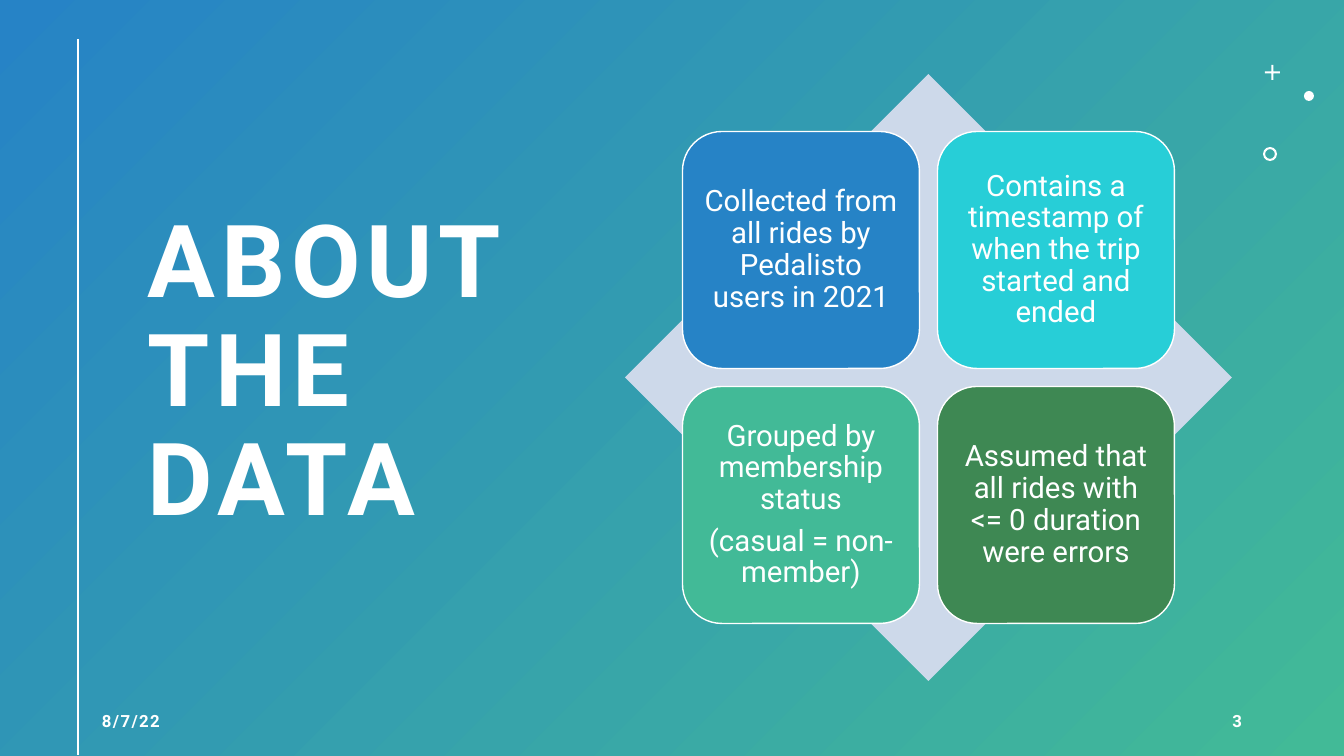
from dataclasses import dataclass

from lxml.etree import SubElement
from pptx import Presentation
from pptx.dml.color import RGBColor
from pptx.enum.shapes import MSO_CONNECTOR, MSO_SHAPE
from pptx.enum.text import MSO_ANCHOR, PP_ALIGN
from pptx.oxml.ns import qn
from pptx.util import Emu, Pt

TITLE = "ABOUT THE DATA"
DATE = "8/7/22"
PAGE = "3"
TILES = [
    (["Collected from all rides by Pedalisto users in 2021"], "2683C6"),
    (["Contains a timestamp of when the trip started and ended"], "27CED7"),
    (["Grouped by membership status", "(casual = non-member)"], "42BA97"),
    (["Assumed that all rides with <= 0 duration were errors"], "3E8853"),
]
ORNAMENTS = [
    (MSO_SHAPE.CROSS, (1265, 65, 15, 15), 0.43),
    (MSO_SHAPE.OVAL, (1304, 91, 10, 10), None),
    (MSO_SHAPE.DONUT, (1263, 147, 14, 14), 0.15),
]


@dataclass(frozen=True)
class Theme:
    font: str = "Roboto"
    white: str = "FFFFFF"
    diamond: str = "CDD9EA"
    start: str = "2683C6"
    end: str = "42BA97"
    title: int = 72
    body: int = 21
    footer: int = 12


THEME = Theme()
SLIDE_W, SLIDE_H = 1344, 756
DIAMOND_X, DIAMOND_Y, DIAMOND_SIZE = 625, 74, 607
TILE, GAP, INSET = 237, 18, 9


def px(n):
    return Emu(round(n * 914400 / 100.8))


def rgb(value):
    return RGBColor.from_string(value)


def add_shape(s, kind, box, fill=None, line=None):
    sp = s.shapes.add_shape(kind, *map(px, box))
    sp.shadow.inherit = False
    if fill:
        sp.fill.solid()
        sp.fill.fore_color.rgb = rgb(fill)
    if line:
        sp.line.color.rgb = rgb(line)
        sp.line.width = Pt(1)
    else:
        sp.line.fill.background()
    return sp


def write(sp, lines, size, align, bold=False, tracking=0, leading=1.0, after=0):
    tf = sp.text_frame
    tf.word_wrap = True
    tf.vertical_anchor = MSO_ANCHOR.MIDDLE
    for i, line in enumerate(lines):
        p = tf.add_paragraph() if i else tf.paragraphs[0]
        p.alignment = align
        p.line_spacing = leading
        p.space_after = Pt(after)
        p.font.name = THEME.font
        p.font.size = Pt(size)
        p.font.bold = bold
        p.font.color.rgb = rgb(THEME.white)
        r = p.add_run()
        r.text = line
        if tracking:
            r._r.get_or_add_rPr().set("spc", str(tracking * 100))
    return tf


def add_background(s):
    sp = add_shape(s, MSO_SHAPE.RECTANGLE, (0, 0, SLIDE_W, SLIDE_H))
    sp.fill.gradient()
    sp.fill.gradient_angle = 315
    for stop, color, position in zip(sp.fill.gradient_stops, (THEME.start, THEME.end), (0, 1)):
        stop.color.rgb = rgb(color)
        stop.position = position


def add_rule(s, x, top, bottom):
    line = s.shapes.add_connector(MSO_CONNECTOR.STRAIGHT, px(x), px(top), px(x), px(bottom))
    line.line.color.rgb = rgb(THEME.white)
    line.line.width = Pt(2)
    SubElement(line._element.spPr, qn("a:effectLst"))


def add_label(s, box, text, size, align, tracking, leading=1.0):
    sp = s.shapes.add_textbox(*map(px, box))
    write(sp, [text], size, align, bold=True, tracking=tracking, leading=leading)


def add_matrix(s):
    add_shape(s, MSO_SHAPE.DIAMOND, (DIAMOND_X, DIAMOND_Y, DIAMOND_SIZE, DIAMOND_SIZE), THEME.diamond)
    margin = (DIAMOND_SIZE - 2 * TILE - GAP) / 2
    for i, (lines, color) in enumerate(TILES):
        row, col = divmod(i, 2)
        x = DIAMOND_X + margin + col * (TILE + GAP)
        y = DIAMOND_Y + margin + row * (TILE + GAP)
        sp = add_shape(s, MSO_SHAPE.ROUNDED_RECTANGLE, (x, y, TILE, TILE), color, THEME.white)
        tf = write(sp, lines, THEME.body, PP_ALIGN.CENTER, leading=0.9, after=7)
        tf.margin_left = tf.margin_right = tf.margin_top = tf.margin_bottom = px(INSET)


def main():
    prs = Presentation()
    prs.slide_width, prs.slide_height = px(SLIDE_W), px(SLIDE_H)
    s = prs.slides.add_slide(prs.slide_layouts[6])
    add_background(s)
    add_label(s, (138, 66, 434, 616), TITLE, THEME.title, PP_ALIGN.LEFT, 4, 0.9)
    add_rule(s, 78, 39, 755)
    for kind, box, adjustment in ORNAMENTS:
        sp = add_shape(s, kind, box, THEME.white)
        if adjustment is not None:
            sp.adjustments[0] = adjustment
    add_label(s, (92, 701, 302, 40), DATE, THEME.footer, PP_ALIGN.LEFT, 1)
    add_label(s, (950, 701, 302, 40), PAGE, THEME.footer, PP_ALIGN.RIGHT, 1)
    add_matrix(s)
    prs.save("out.pptx")


if __name__ == "__main__":
    main()
